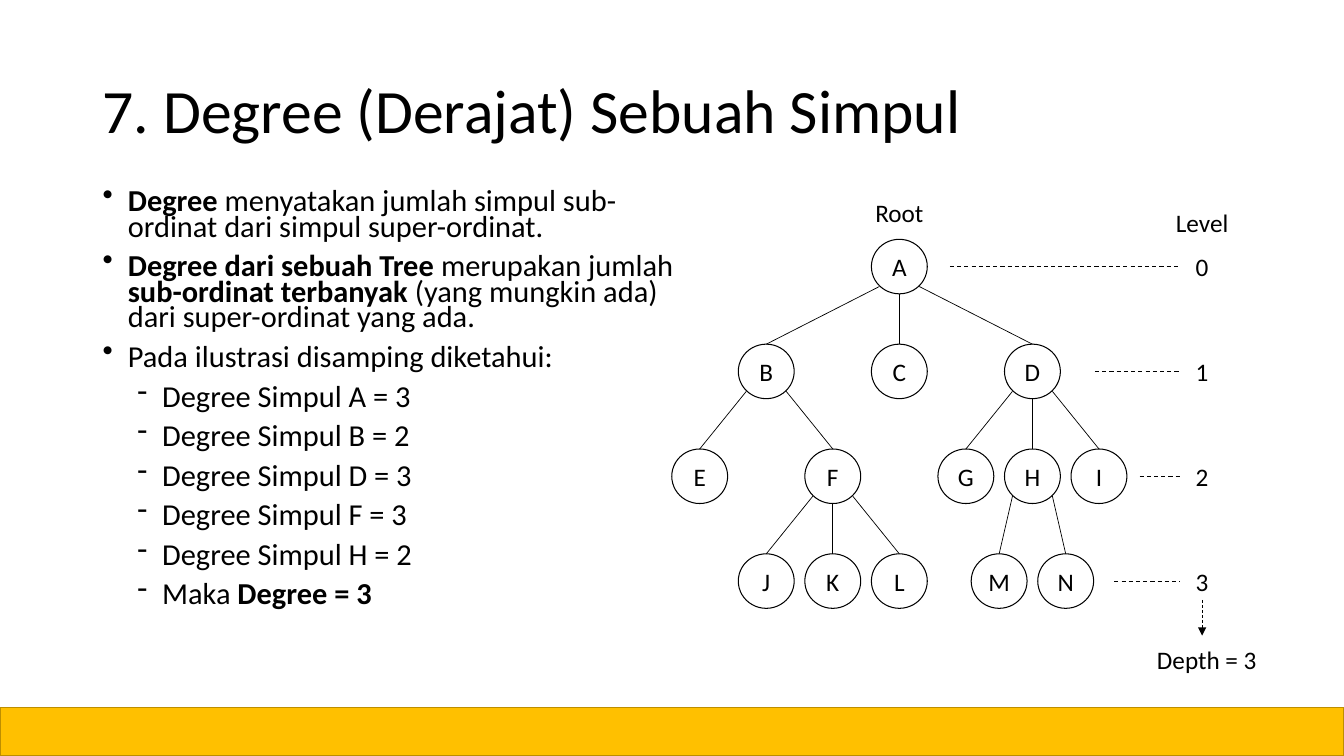
from lxml import etree
from pptx import Presentation
from pptx import util as u
from pptx.dml.color import RGBColor
from pptx.enum import dml, shapes, text
from pptx.oxml.ns import qn

WIDTH, HEIGHT = u.Inches(13.33), u.Inches(7.5)
ORIGIN_X, ORIGIN_Y = u.Inches(6.94), u.Inches(2.645)
COLUMN, ROW = u.Inches(0.66), u.Inches(1.04)
RADIUS_COLS, RADIUS_ROWS = 0.42, 0.26
DIAGONAL_COLS, DIAGONAL_ROWS = 0.3, 0.19
LEVEL_COLUMN, DASH_END = 7.55, 7.21
BLACK = "000000"

NODES = {
    "A": (3, 0),
    "B": (1, 1), "C": (3, 1), "D": (5, 1),
    "E": (0, 2), "F": (2, 2), "G": (4, 2), "H": (5, 2), "I": (6, 2),
    "J": (1, 3), "K": (2, 3), "L": (3, 3), "M": (4.5, 3), "N": (5.5, 3),
}
CHILDREN = {"A": "BCD", "B": "EF", "D": "GHI", "F": "JKL", "H": "MN"}
DASH_STARTS = [3.76, 5.94, 6.61, 6.23]
POINTS = [
    [("Degree ", True),
     ("menyatakan jumlah simpul sub-ordinat dari simpul super-ordinat.", False)],
    [("Degree dari sebuah Tree ", True), ("merupakan jumlah ", False),
     ("sub-ordinat terbanyak", True),
     (" (yang mungkin ada) dari super-ordinat yang ada.", False)],
    [("Pada ilustrasi disamping diketahui:", False)],
]
DEGREES = {"A": 3, "B": 2, "D": 3, "F": 3, "H": 2}


def color(value):
    return RGBColor.from_string(value)


def percent(left, top, width, height):
    return [int(size * share / 100) for size, share in
            zip((WIDTH, HEIGHT, WIDTH, HEIGHT), (left, top, width, height))]


def grid_point(col, row):
    return int(ORIGIN_X + col * COLUMN), int(ORIGIN_Y + row * ROW)


def centered(col, row, cols, rows):
    return (*grid_point(col - cols / 2, row - rows / 2),
            int(cols * COLUMN), int(rows * ROW))


def style(font, size, bold=False):
    font.name, font.size, font.bold = "Calibri", u.Pt(size), bold
    font.color.rgb = color(BLACK)


def add_title(slide, wording):
    frame = slide.shapes.add_textbox(*percent(6.9, 5.33, 86.25, 19.33)).text_frame
    frame.word_wrap = True
    frame.vertical_anchor = text.MSO_ANCHOR.MIDDLE
    frame.text = wording
    heading = frame.paragraphs[0]
    heading.line_spacing = 0.9
    style(heading.runs[0].font, 44)


def add_point(paragraph, parts, mark, indent):
    props = paragraph._p.get_or_add_pPr()
    props.set("marL", str(u.Inches(indent)))
    props.set("indent", str(u.Inches(-0.25)))
    etree.SubElement(props, qn("a:buChar")).set("char", mark)
    paragraph.line_spacing = 0.7
    for wording, bold in parts:
        run = paragraph.add_run()
        run.text = wording
        style(run.font, 21.7, bold)


def add_body(slide):
    frame = slide.shapes.add_textbox(*percent(6.9, 24.67, 44.86, 63.47)).text_frame
    frame.word_wrap = True
    answers = [[(f"Degree Simpul {node} = {degree}", False)]
               for node, degree in DEGREES.items()]
    answers.append([("Maka ", False), ("Degree = 3", True)])
    items = [(parts, "•", 0.25) for parts in POINTS]
    items += [(parts, "‐", 0.59) for parts in answers]
    for index, item in enumerate(items):
        paragraph = frame.add_paragraph() if index else frame.paragraphs[0]
        add_point(paragraph, *item)
        if index:
            paragraph.space_before = u.Pt(10)


def add_footer(slide):
    band = slide.shapes.add_shape(shapes.MSO_SHAPE.RECTANGLE,
                                  *percent(0, 93.6, 100, 6.4))
    band.shadow.inherit = False
    band.fill.solid()
    band.fill.fore_color.rgb = color("FFC000")
    band.line.color.rgb = color("BD8E00")
    band.line.width = u.Pt(1)


def add_node(tree, name, col, row):
    node = tree.add_shape(shapes.MSO_SHAPE.OVAL,
                          *centered(col, row, 2 * RADIUS_COLS, 2 * RADIUS_ROWS))
    node.shadow.inherit = False
    node.fill.background()
    node.line.color.rgb = color(BLACK)
    node.line.width = u.Pt(0.75)
    frame = node.text_frame
    frame.margin_left = frame.margin_right = 0
    frame.margin_top = frame.margin_bottom = 0
    frame.word_wrap = False
    frame.vertical_anchor = text.MSO_ANCHOR.MIDDLE
    frame.text = name
    frame.paragraphs[0].alignment = text.PP_ALIGN.CENTER
    style(frame.paragraphs[0].runs[0].font, 18)


def add_line(tree, start, end, weight=0.5, dashed=False, arrow=False):
    line = tree.add_connector(shapes.MSO_CONNECTOR.STRAIGHT,
                              *grid_point(*start), *grid_point(*end))
    line.line.color.rgb = color(BLACK)
    line.line.width = u.Pt(weight)
    if dashed:
        line.line.dash_style = dml.MSO_LINE.DASH
    if arrow:
        outline = line.line._get_or_add_ln()
        etree.SubElement(outline, qn("a:tailEnd")).set("type", "triangle")
    etree.SubElement(line._element.spPr, qn("a:effectLst"))


def add_edge(tree, parent, child):
    (col, row), (child_col, child_row) = NODES[parent], NODES[child]
    side = (child_col > col) - (child_col < col)
    drop = DIAGONAL_ROWS if side else RADIUS_ROWS
    add_line(tree, (col + side * DIAGONAL_COLS, row + drop),
             (child_col, child_row - RADIUS_ROWS))


def add_label(tree, wording, col, row, cols):
    frame = tree.add_textbox(*centered(col, row, cols, 0.38)).text_frame
    frame.word_wrap = False
    frame.text = wording
    frame.paragraphs[0].alignment = text.PP_ALIGN.CENTER
    style(frame.paragraphs[0].runs[0].font, 18)


def add_tree(slide):
    tree = slide.shapes.add_group_shape().shapes
    for name, place in NODES.items():
        add_node(tree, name, *place)
    for parent, children in CHILDREN.items():
        for child in children:
            add_edge(tree, parent, child)
    for level, start in enumerate(DASH_STARTS):
        add_line(tree, (start, level), (DASH_END, level), 0.75, dashed=True)
        add_label(tree, str(level), LEVEL_COLUMN, level, 0.5)
    add_label(tree, "Level", LEVEL_COLUMN, -0.42, 1.1)
    add_label(tree, "Depth = 3", 7.62, 3.75, 1.82)
    add_line(tree, (LEVEL_COLUMN, 3.18), (LEVEL_COLUMN, 3.52),
             dashed=True, arrow=True)
    add_label(tree, "Root", 3, -0.52, 1.03)


def main():
    deck = Presentation()
    deck.slide_width, deck.slide_height = WIDTH, HEIGHT
    slide = deck.slides.add_slide(deck.slide_layouts[6])
    add_title(slide, "7. Degree (Derajat) Sebuah Simpul")
    add_body(slide)
    add_footer(slide)
    add_tree(slide)
    deck.save("out.pptx")


if __name__ == "__main__":
    main()
